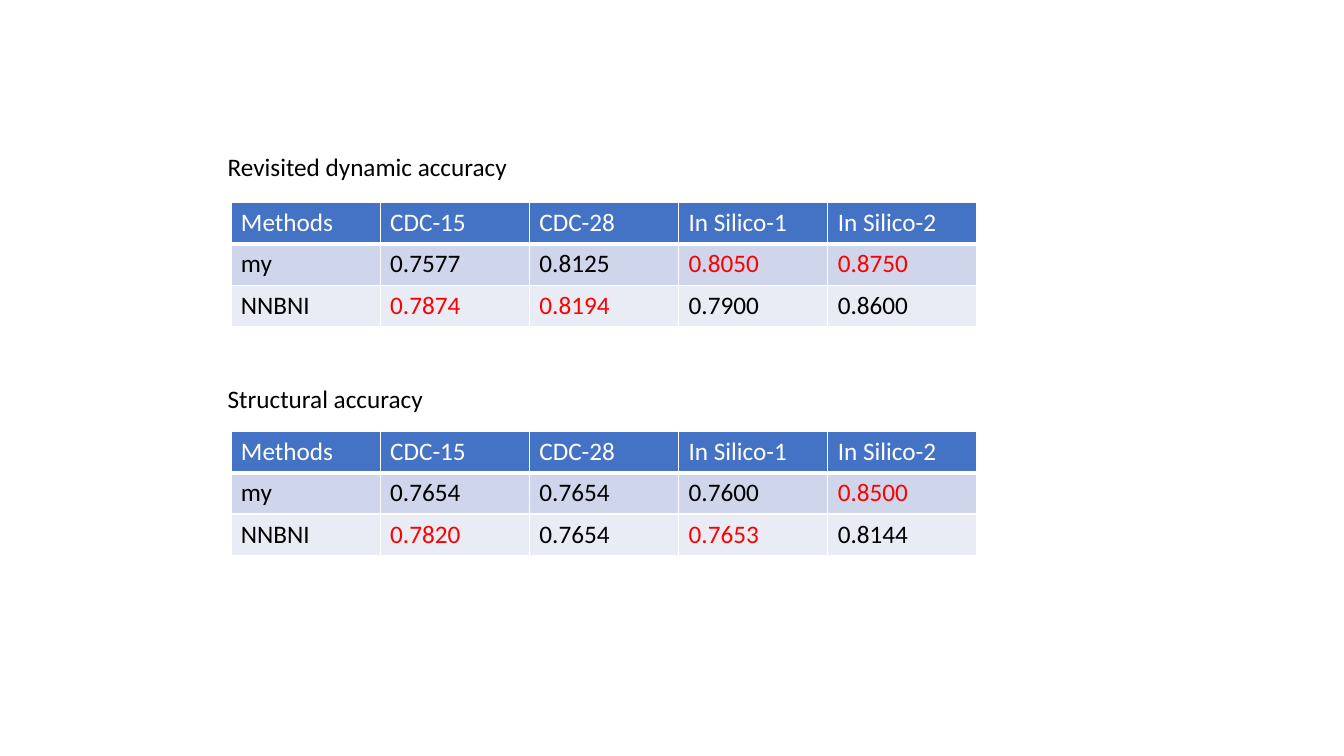
from lxml import etree
from pptx import Presentation
from pptx import util as u
from pptx.dml.color import RGBColor
from pptx.enum import text
from pptx.oxml import ns

LEFT, COLUMN, ROW = 2.29, 1.48, 0.41
HEADINGS = ["Methods", "CDC-15", "CDC-28", "In Silico-1", "In Silico-2"]
ROW_FILLS = ["4472C4", "CFD5EA", "E9EBF5"]
SECTIONS = [
    ("Revisited dynamic accuracy", 1.45, 3.0, 2.01,
     ["my", "0.7577", "0.8125", "0.8050", "0.8750"],
     ["NNBNI", "0.7874", "0.8194", "0.7900", "0.8600"]),
    ("Structural accuracy", 3.75, 2.16, 4.28,
     ["my", "0.7654", "0.7654", "0.7600", "0.8500"],
     ["NNBNI", "0.7820", "0.7654", "0.7653", "0.8144"]),
]


def format_text(frame, color):
    font = frame.paragraphs[0].runs[0].font
    font.name, font.size, font.bold = "Calibri", u.Pt(18), False
    font.color.rgb = RGBColor.from_string(color)


def add_borders(cell, row):
    """Draw white cell borders, thick between the heading row and the body."""
    thick_side = {0: "lnB", 1: "lnT"}.get(row)
    properties = cell._tc.get_or_add_tcPr()
    for side in ("lnL", "lnR", "lnT", "lnB"):
        width = u.Pt(3 if side == thick_side else 1)
        line = etree.SubElement(properties, ns.qn(f"a:{side}"), w=str(width))
        fill = etree.SubElement(line, ns.qn("a:solidFill"))
        etree.SubElement(fill, ns.qn("a:srgbClr"), val="FFFFFF")


deck = Presentation()
deck.slide_width, deck.slide_height = u.Inches(13.33), u.Inches(7.5)
slide = deck.slides.add_slide(deck.slide_layouts[6])

for caption, caption_top, caption_width, table_top, mine, rival in SECTIONS:
    rows = [HEADINGS, mine, rival]
    table = slide.shapes.add_table(
        len(rows), len(HEADINGS), u.Inches(LEFT), u.Inches(table_top),
        u.Inches(COLUMN * len(HEADINGS)), u.Inches(ROW * len(rows))).table
    for row, values in enumerate(rows):
        for column, value in enumerate(values):
            cell = table.cell(row, column)
            cell.text_frame.text = value
            # The better method in each column is red; a tie stays black.
            other = rows[3 - row][column] if row else ""
            if row == 0:
                color = "FFFFFF"
            elif column and float(value) > float(other):
                color = "FF0000"
            else:
                color = "000000"
            format_text(cell.text_frame, color)
            add_borders(cell, row)
            cell.fill.solid()
            cell.fill.fore_color.rgb = RGBColor.from_string(ROW_FILLS[row])

    box = slide.shapes.add_textbox(u.Inches(2.16), u.Inches(caption_top),
                                   u.Inches(caption_width), u.Inches(0.4))
    box.text_frame.text = caption
    box.text_frame.word_wrap = False
    box.text_frame.auto_size = text.MSO_AUTO_SIZE.SHAPE_TO_FIT_TEXT
    format_text(box.text_frame, "000000")

deck.save("out.pptx")
